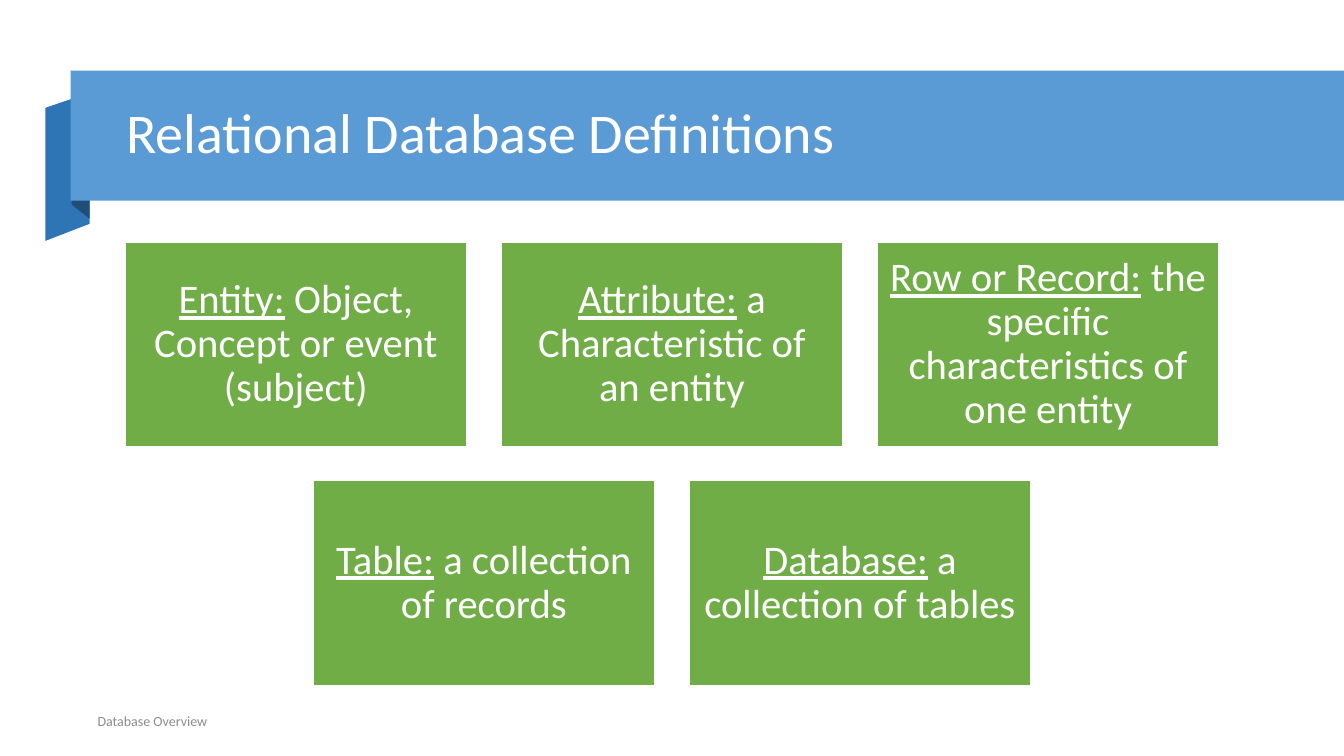
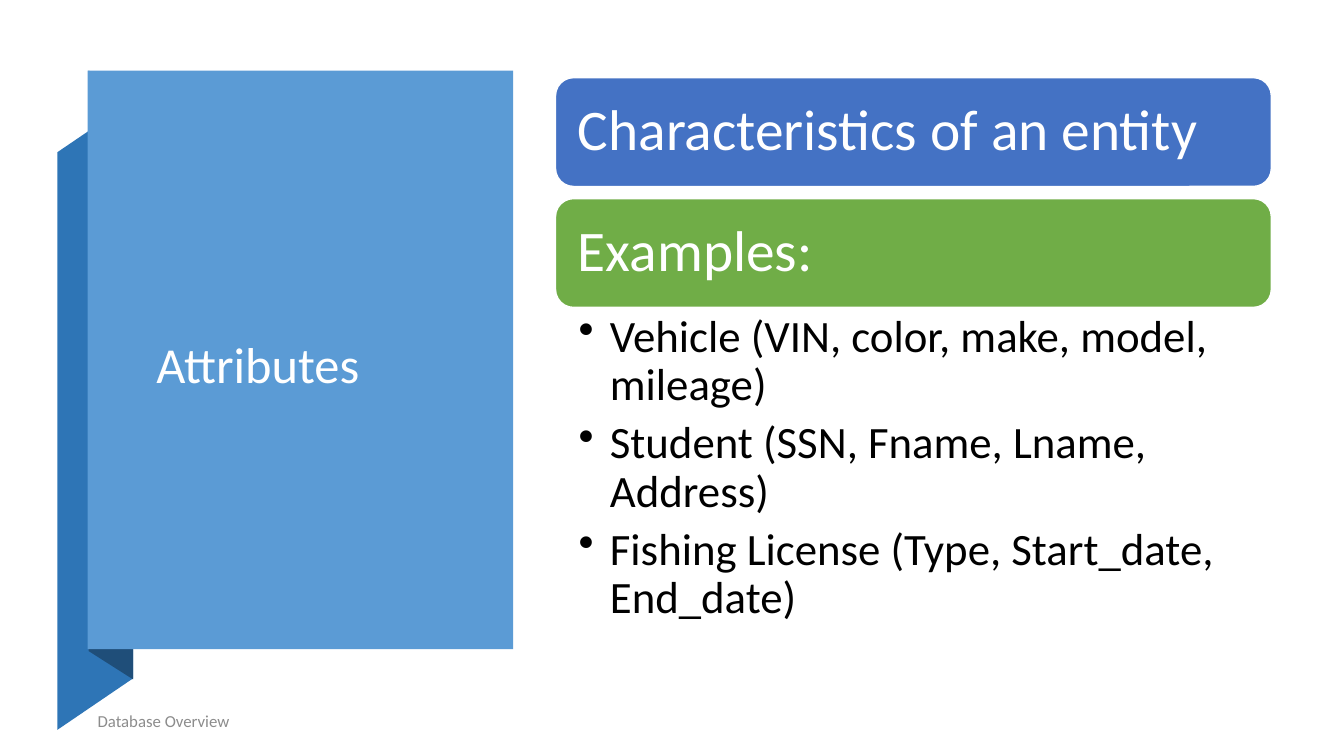
"""Build two slides on relational database definitions and attributes."""
from pptx import Presentation
from pptx.dml.color import RGBColor
from pptx.enum import shapes, text
from pptx.oxml import ns, xmlchemy
from pptx.util import Inches, Pt

BAND = RGBColor(0x5B, 0x9B, 0xD5)
TAIL = RGBColor(0x2E, 0x75, 0xB6)
FOLD = RGBColor(0x1F, 0x4E, 0x79)
GREEN = RGBColor(0x70, 0xAD, 0x47)
BLUE = RGBColor(0x44, 0x72, 0xC4)
GREY = RGBColor(0x8C, 0x8C, 0x8C)
WHITE = RGBColor(0xFF, 0xFF, 0xFF)
BLACK = RGBColor(0x00, 0x00, 0x00)
SLIDE_WIDTH = 13.33
LEFT, CENTER = text.PP_ALIGN.LEFT, text.PP_ALIGN.CENTER
MIDDLE, TOP = text.MSO_ANCHOR.MIDDLE, text.MSO_ANCHOR.TOP


def paint(shape, fill, line=None):
    """Give a shape a flat fill and an optional thin outline."""
    shape.shadow.inherit = False
    shape.fill.solid()
    shape.fill.fore_color.rgb = fill
    if line is None:
        shape.line.fill.background()
    else:
        shape.line.color.rgb = line
        shape.line.width = Pt(1)


def write(shape, paragraphs, size, color=WHITE, align=LEFT, spacing=0.9,
          after=0, insets=(0.1, 0.05, 0.1, 0.05), anchor=MIDDLE):
    """Fill a shape with paragraphs, each a list of (words, underlined) runs."""
    frame = shape.text_frame
    left, top, right, bottom = map(Inches, insets)
    frame_format = {
        "word_wrap": True, "auto_size": text.MSO_AUTO_SIZE.NONE,
        "vertical_anchor": anchor, "margin_left": left, "margin_top": top,
        "margin_right": right, "margin_bottom": bottom,
    }
    for name, value in frame_format.items():
        setattr(frame, name, value)
    for index, runs in enumerate(paragraphs):
        paragraph = frame.add_paragraph() if index else frame.paragraphs[0]
        paragraph_format = {"alignment": align, "line_spacing": spacing,
                            "space_before": Pt(0), "space_after": Pt(after)}
        for name, value in paragraph_format.items():
            setattr(paragraph, name, value)
        for words, underlined in runs:
            run = paragraph.add_run()
            run.text = words
            font_format = {"name": "Calibri", "size": Pt(size), "underline": underlined}
            for name, value in font_format.items():
                setattr(run.font, name, value)
            run.font.color.rgb = color


ribbons = [
    {
        "title": "Relational Database Definitions", "title_size": 40, "footer_size": 10,
        "tail": [(0.89, 2.22), (0.45, 2.39), (0.45, 1.07), (0.89, 0.92)],
        "fold": [(0.89, 2.17), (0.71, 2.03), (0.71, 0.7), (0.89, 0.85)],
        "band": (0.7, 0.7, 12.63, 1.29), "title_box": (1.15, 0.86, 11.27, 0.96),
    },
    {
        "title": "Attributes", "title_size": 36, "footer_size": 12,
        "tail": [(0.57, 7.24), (1.32, 6.73), (1.32, 1), (0.57, 1.51)],
        "fold": [(0.88, 6.46), (1.32, 6.74), (1.32, 0.99), (0.88, 0.7)],
        "band": (0.87, 0.7, 4.22, 5.74), "title_box": (1.45, 1.67, 3.01, 3.94),
    },
]

prs = Presentation()
prs.slide_width, prs.slide_height = Inches(SLIDE_WIDTH), Inches(7.5)
slides = []
for ribbon in ribbons:
    slide = prs.slides.add_slide(prs.slide_layouts[5])
    slides.append(slide)
    for part, color in (("tail", TAIL), ("fold", FOLD)):
        corners = [(Inches(x), Inches(y)) for x, y in ribbon[part]]
        outline = slide.shapes.build_freeform(*corners[0])
        outline.add_line_segments(corners[1:], close=True)
        paint(outline.convert_to_shape(), color)
    band = slide.shapes.add_shape(shapes.MSO_SHAPE.RECTANGLE, *map(Inches, ribbon["band"]))
    paint(band, BAND)

    title = slide.shapes.title
    for name, value in zip(("left", "top", "width", "height"), ribbon["title_box"]):
        setattr(title, name, Inches(value))
    write(title, [[(ribbon["title"], False)]], ribbon["title_size"])
    band._element.addnext(title._element)

    footer = slide.shapes.add_textbox(Inches(0.87), Inches(6.98), Inches(7.4), Inches(0.35))
    write(footer, [[("Database Overview", False)]], ribbon["footer_size"], GREY, spacing=1)

definitions_slide, attributes_slide = slides

definition_rows = [
    [("Entity:", " Object, Concept or event (subject)"),
     ("Attribute:", " a Characteristic of an entity"),
     ("Row or Record:", " the specific characteristics of one entity")],
    [("Table:", " a collection of records"),
     ("Database:", " a collection of tables")],
]
CARD_WIDTH, CARD_HEIGHT, GAP = 3.39, 2.03, 0.34
for row, definitions in enumerate(definition_rows):
    row_width = len(definitions) * (CARD_WIDTH + GAP) - GAP
    row_left = (SLIDE_WIDTH - row_width) / 2
    for column, (term, meaning) in enumerate(definitions):
        card = definitions_slide.shapes.add_shape(
            shapes.MSO_SHAPE.RECTANGLE,
            Inches(row_left + column * (CARD_WIDTH + GAP)),
            Inches(2.4 + row * (CARD_HEIGHT + GAP)),
            Inches(CARD_WIDTH), Inches(CARD_HEIGHT))
        paint(card, GREEN, WHITE)
        write(card, [[(term, True), (meaning, False)]], 29, align=CENTER, insets=[0.12] * 4)

headings = [("Characteristics of an entity", BLUE), ("Examples:", GREEN)]
for index, (heading, color) in enumerate(headings):
    bar = attributes_slide.shapes.add_shape(
        shapes.MSO_SHAPE.ROUNDED_RECTANGLE,
        Inches(5.51), Inches(0.77 + index * 1.2), Inches(7.1), Inches(1.08))
    paint(bar, color, WHITE)
    write(bar, [[(heading, False)]], 41, insets=[0.17] * 4)

examples = [
    "Vehicle (VIN, color, make, model, mileage)",
    "Student (SSN, Fname, Lname, Address)",
    "Fishing License (Type, Start_date, End_date)",
]
example_list = attributes_slide.shapes.add_textbox(
    Inches(5.51), Inches(3.05), Inches(7.1), Inches(3.34))
write(example_list, [[(example, False)] for example in examples], 32, BLACK,
      after=7, insets=(0.23, 0.06, 0.32, 0.06), anchor=TOP)
for paragraph in example_list.text_frame.paragraphs:
    properties = paragraph._p.get_or_add_pPr()
    properties.set("marL", str(Inches(0.31)))
    properties.set("indent", str(-Inches(0.31)))
    bullet = properties.makeelement(ns.qn("a:buChar"), {"char": "•"})
    properties.append(bullet)

prs.save("out.pptx")
